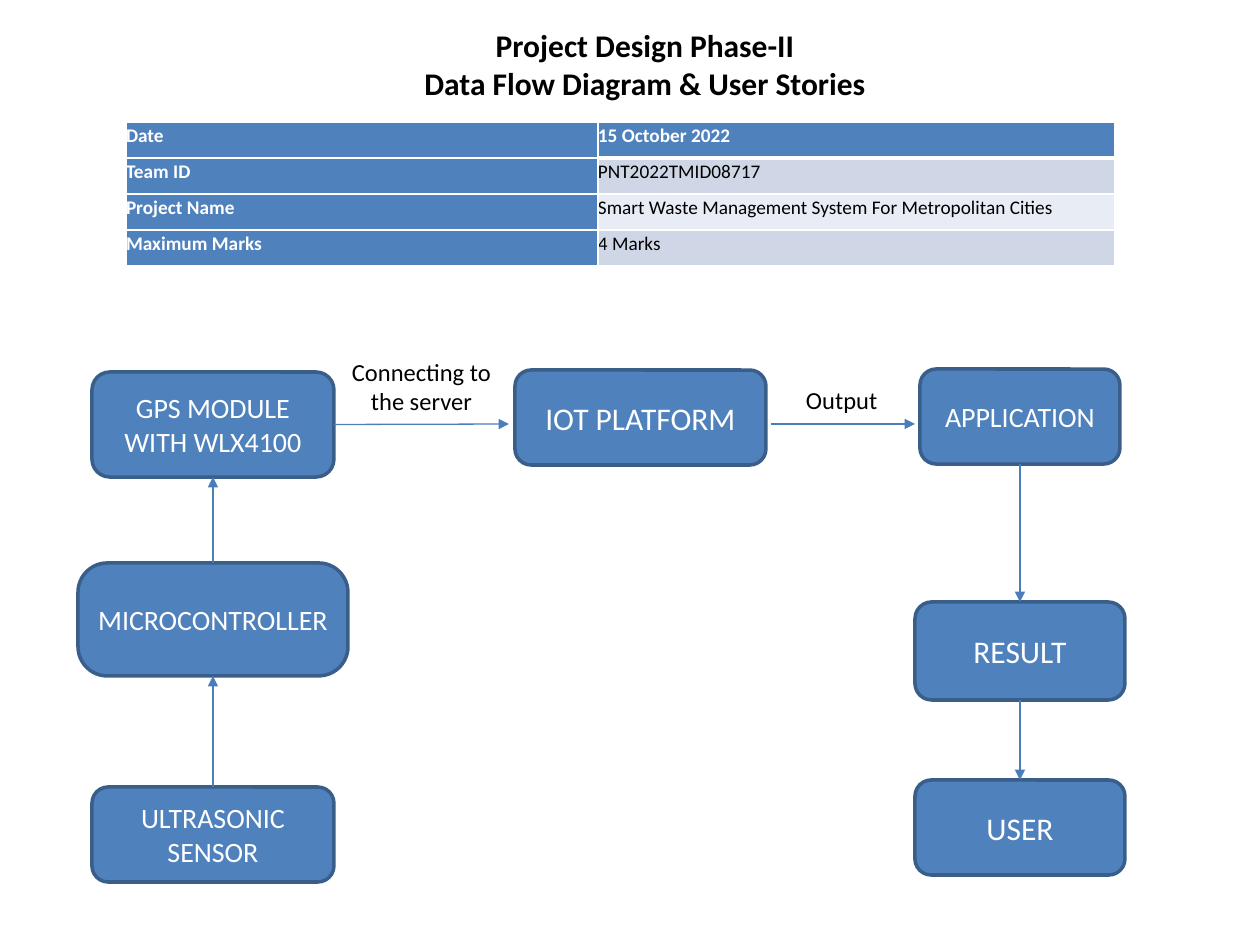
from dataclasses import dataclass
from typing import NamedTuple

import pptx
import pptx.dml.color
import pptx.enum.shapes
import pptx.enum.text
import pptx.oxml
import pptx.oxml.ns
import pptx.util

ALIGN = pptx.enum.text.PP_ALIGN
ANCHOR = pptx.enum.text.MSO_ANCHOR
TOP, LEFT, BOTTOM, RIGHT = 0, 1, 2, 3
PX_PER_INCH = 126


@dataclass(frozen=True)
class Theme:
    font: str = "Calibri"
    blue: str = "4F81BD"
    outline: str = "3A5E8A"
    arrow: str = "4A7EBB"
    band_dark: str = "CFD7E7"
    band_light: str = "E8ECF4"
    white: str = "FFFFFF"
    black: str = "000000"
    heading: int = 18
    box_large: int = 18
    box_small: int = 16
    label: int = 14
    cell: int = 11


THEME = Theme()


class Box(NamedTuple):
    text: str
    left: int
    top: int
    width: int
    height: int
    size: int = THEME.box_small
    rounding: float = 0.17


class Label(NamedTuple):
    text: str
    left: int
    top: int
    width: int
    height: int
    align: ALIGN


class Arrow(NamedTuple):
    """Runs from start to end, joined to a (box, side) where one is given."""
    start: tuple[int, int]
    end: tuple[int, int]
    begin_at: tuple[str, int] | None = None
    end_at: tuple[str, int] | None = None


BOXES = {
    "sensor": Box("ULTRASONIC\nSENSOR", 92, 787, 242, 95),
    "controller": Box("MICROCONTROLLER", 78, 563, 270, 113, rounding=0.26),
    "gps": Box("GPS MODULE WITH WLX4100", 92, 372, 242, 105),
    "platform": Box("IOT PLATFORM", 515, 370, 251, 95, THEME.box_large),
    "application": Box("APPLICATION", 920, 369, 200, 95),
    "result": Box("RESULT", 915, 602, 210, 98, THEME.box_large),
    "user": Box("USER", 915, 780, 210, 95, THEME.box_large),
}
ARROWS = [
    Arrow((213, 787), (213, 676), ("sensor", TOP), ("controller", BOTTOM)),
    Arrow((213, 563), (213, 477), ("controller", TOP), ("gps", BOTTOM)),
    Arrow((334, 424), (509, 424), ("gps", RIGHT)),
    Arrow((771, 424), (915, 424)),
    Arrow((1020, 464), (1020, 602), ("application", BOTTOM), ("result", TOP)),
    Arrow((1020, 700), (1020, 780), ("result", BOTTOM), ("user", TOP)),
]
LABELS = [
    Label("Connecting to\nthe server", 342, 351, 159, 71, ALIGN.CENTER),
    Label("Output", 800, 379, 86, 39, ALIGN.LEFT),
]
DETAILS = [
    ("Date", "15 October 2022"),
    ("Team ID", "PNT2022TMID08717"),
    ("Project Name", "Smart Waste Management System For Metropolitan Cities"),
    ("Maximum Marks", "4 Marks"),
]
COLUMN_WIDTHS = (472, 517)
ROW_HEIGHT = 36


def px(*lengths: int) -> list[int]:
    return [round(length * 914400 / PX_PER_INCH) for length in lengths]


def rgb(color: str) -> pptx.dml.color.RGBColor:
    return pptx.dml.color.RGBColor.from_string(color)


def write(frame, text: str, *, size: int, color: str = THEME.black, bold: bool = False,
          align: ALIGN = ALIGN.LEFT, anchor: ANCHOR = ANCHOR.TOP, inset: int = 6,
          wrap: bool = True, spacing: float = 1.0) -> None:
    """Fill a text frame, one paragraph for each line of the text."""
    frame.text = text
    frame.word_wrap = wrap
    frame.auto_size = pptx.enum.text.MSO_AUTO_SIZE.NONE
    frame.vertical_anchor = anchor
    frame.margin_left = frame.margin_top = frame.margin_right = frame.margin_bottom = px(inset)[0]
    for paragraph in frame.paragraphs:
        paragraph.alignment = align
        paragraph.line_spacing = spacing
        for run in paragraph.runs:
            run.font.name = THEME.font
            run.font.size = pptx.util.Pt(size)
            run.font.bold = bold
            run.font.color.rgb = rgb(color)


def draw_box(slide, box: Box):
    shape = slide.shapes.add_shape(
        pptx.enum.shapes.MSO_SHAPE.ROUNDED_RECTANGLE,
        *px(box.left, box.top, box.width, box.height))
    shape.adjustments[0] = box.rounding
    shape.shadow.inherit = False
    shape.fill.solid()
    shape.fill.fore_color.rgb = rgb(THEME.blue)
    shape.line.color.rgb = rgb(THEME.outline)
    shape.line.width = pptx.util.Pt(2)
    write(shape.text_frame, box.text, size=box.size, color=THEME.white,
          align=ALIGN.CENTER, anchor=ANCHOR.MIDDLE, inset=9)
    return shape


def draw_arrow(slide, arrow: Arrow, boxes: dict) -> None:
    line = slide.shapes.add_connector(
        pptx.enum.shapes.MSO_CONNECTOR.STRAIGHT, *px(*arrow.start, *arrow.end))
    for join, target in ((line.begin_connect, arrow.begin_at), (line.end_connect, arrow.end_at)):
        if target:
            name, side = target
            join(boxes[name], side)
    line.line.color.rgb = rgb(THEME.arrow)
    line.line.width = pptx.util.Pt(0.75)
    outline = line.line._get_or_add_ln()
    outline.append(pptx.oxml.parse_xml(
        f'<a:tailEnd {pptx.oxml.ns.nsdecls("a")} type="triangle"/>'))
    line._element.spPr.append(pptx.oxml.parse_xml(
        f'<a:effectLst {pptx.oxml.ns.nsdecls("a")}/>'))


def draw_label(slide, label: Label) -> None:
    area = slide.shapes.add_textbox(*px(label.left, label.top, label.width, label.height))
    write(area.text_frame, label.text, size=THEME.label, align=label.align, wrap=False)


def set_borders(cell, **points: int) -> None:
    """Give white borders by side (L, R, T, B); they precede the cell's fill."""
    properties = cell._tc.get_or_add_tcPr()
    for position, side in enumerate("LRTB"):
        width = pptx.util.Pt(points.get(side, 1))
        properties.insert(position, pptx.oxml.parse_xml(
            f'<a:ln{side} {pptx.oxml.ns.nsdecls("a")} w="{width}"><a:solidFill>'
            f'<a:srgbClr val="{THEME.white}"/></a:solidFill></a:ln{side}>'))


def draw_details(slide) -> None:
    table = slide.shapes.add_table(
        len(DETAILS), len(COLUMN_WIDTHS),
        *px(126, 122, sum(COLUMN_WIDTHS), ROW_HEIGHT * len(DETAILS))).table
    for column, width in zip(table.columns, px(*COLUMN_WIDTHS)):
        column.width = width
    for r, entries in enumerate(DETAILS):
        for c, entry in enumerate(entries):
            cell = table.cell(r, c)
            heading = r == 0 or c == 0
            band = THEME.band_dark if r % 2 else THEME.band_light
            cell.fill.solid()
            cell.fill.fore_color.rgb = rgb(THEME.blue if heading else band)
            write(cell.text_frame, entry, size=THEME.cell, bold=heading, inset=0, spacing=1.07,
                  color=THEME.white if heading else THEME.black)
            cell.margin_left = cell.margin_top = cell.margin_right = cell.margin_bottom = 0
            set_borders(cell, B=3 if (r, c) == (0, 1) else 1, T=3 if (r, c) == (1, 1) else 1)


def main() -> None:
    deck = pptx.Presentation()
    deck.slide_width, deck.slide_height = px(1260, 945)
    slide = deck.slides.add_slide(deck.slide_layouts.get_by_name("Title Only"))
    title = slide.shapes.title
    title.left, title.top, title.width, title.height = px(371, 20, 548, 100)
    write(title.text_frame, "Project Design Phase-II\nData Flow Diagram & User Stories",
          size=THEME.heading, bold=True, align=ALIGN.CENTER)
    draw_details(slide)
    boxes = {name: draw_box(slide, box) for name, box in BOXES.items()}
    for arrow in ARROWS:
        draw_arrow(slide, arrow, boxes)
    for label in LABELS:
        draw_label(slide, label)
    deck.save("out.pptx")


if __name__ == "__main__":
    main()
